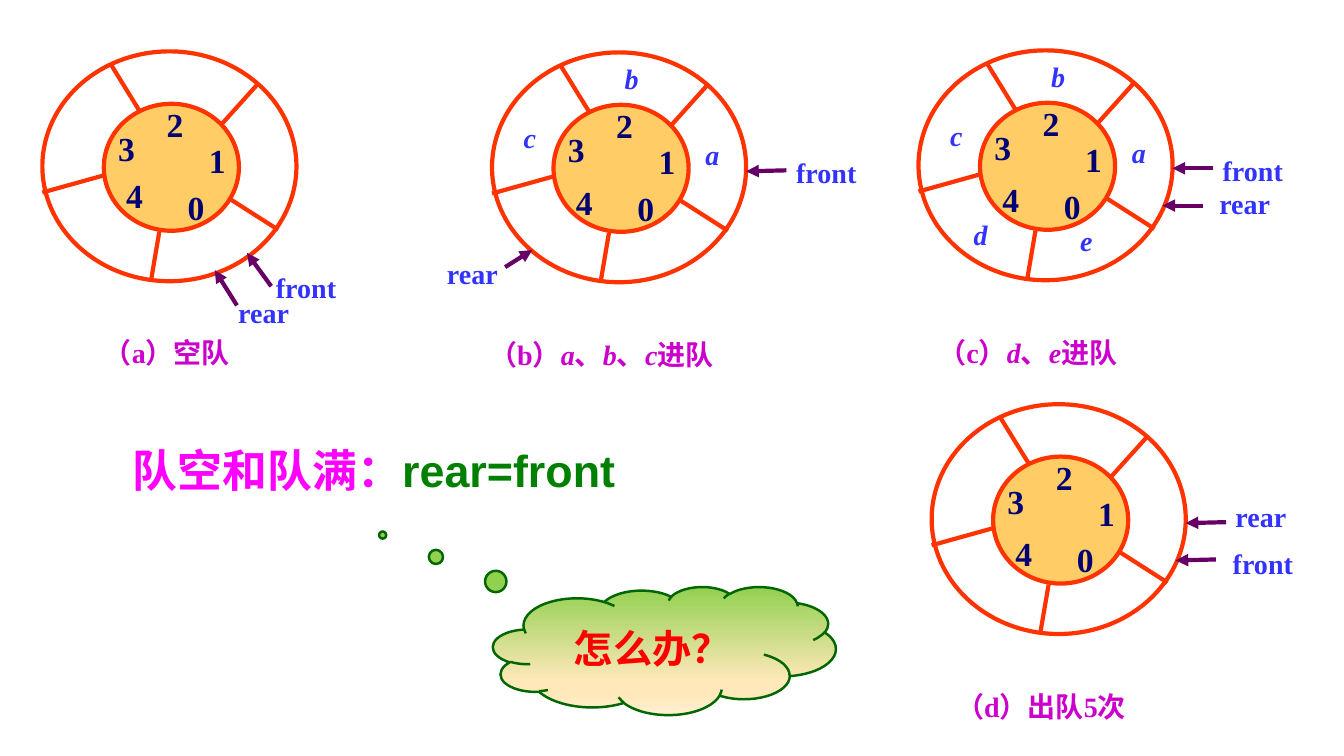
from lxml import etree
from pptx import Presentation
from pptx import util as u
from pptx.dml.color import RGBColor
from pptx.enum import shapes, text
from pptx.oxml import ns

PX = 9144  # 100 px to the inch
SERIF, SANS, CHINESE = "Times New Roman", "Arial", "Noto Sans CJK SC"

RING = RGBColor(0xFF, 0x33, 0x00)
CORE = RGBColor(0xFF, 0xCC, 0x66)
INDEX = RGBColor(0x00, 0x00, 0x74)
LABEL = RGBColor(0x33, 0x33, 0xFF)
POINTER = RGBColor(0x66, 0x00, 0x66)
CAPTION = RGBColor(0xCC, 0x00, 0xCC)
TOPIC = RGBColor(0xFF, 0x00, 0xFF)
CONDITION = RGBColor(0x00, 0x80, 0x00)
CLOUD_EDGE = RGBColor(0x00, 0x66, 0x00)
QUESTION = RGBColor(0xFF, 0x00, 0x00)
CLOUD_STOPS = [(0, RGBColor(0x92, 0xD0, 0x50)), (74, RGBColor(0xFF, 0xE8, 0xBA)),
               (83, RGBColor(0xFF, 0xE8, 0xBA)), (100, RGBColor(0xFF, 0xF0, 0xD1))]

# Offsets from the top left corner of a ring
SPOKES = [(187, 147, 234, 177), (178, 72, 214, 32), (68, 13, 97, 60),
          (116, 179, 108, 226), (0, 140, 61, 123)]
INDEX_SPOTS = [(137, 134), (158, 88), (116, 52), (68, 76), (76, 128)]
ELEMENT_SPOTS = {"a": (203, 84), "b": (123, 9), "c": (22, 68),
                 "d": (46, 166), "e": (151, 172)}


def px(*lengths):
    return [u.Emu(length * PX) for length in lengths]


def add_run(paragraph, words, size, color, font=SERIF, italic=False):
    run = paragraph.add_run()
    run.text = words
    run.font.size = u.Pt(size)
    run.font.bold = True
    run.font.italic = italic
    run.font.name = font
    run.font.color.rgb = color
    east_asian = etree.SubElement(run.font._element, ns.qn("a:ea"))
    east_asian.set("typeface", CHINESE)


def add_text(parent, box, inset=True, align=text.PP_ALIGN.CENTER):
    """Add an empty text box and return its paragraph."""
    frame = parent.add_textbox(*px(*box)).text_frame
    frame.word_wrap = True
    frame.auto_size = text.MSO_AUTO_SIZE.SHAPE_TO_FIT_TEXT
    if not inset:
        frame.margin_left = frame.margin_right = 0
        frame.margin_top = frame.margin_bottom = 0
    frame.paragraphs[0].alignment = align
    return frame.paragraphs[0]


def add_label(parent, words, x, y, width=79, italic=False):
    add_run(add_text(parent, (x, y, width, 33), inset=False),
            words, 20, LABEL, italic=italic)


def add_line(parent, ends, color, arrow=False):
    line = parent.add_connector(shapes.MSO_CONNECTOR.STRAIGHT, *px(*ends))
    line.line.color.rgb = color
    line.line.width = u.Pt(3)
    if arrow:
        tip = etree.SubElement(line.line._get_or_add_ln(), ns.qn("a:tailEnd"))
        tip.set("type", "triangle")
    etree.SubElement(line._element.spPr, ns.qn("a:effectLst"))


def add_ellipse(parent, box, fill=None):
    ellipse = parent.add_shape(shapes.MSO_SHAPE.OVAL, *px(*box))
    ellipse.shadow.inherit = False
    if fill is None:
        ellipse.fill.background()
    else:
        ellipse.fill.solid()
        ellipse.fill.fore_color.rgb = fill
    ellipse.line.color.rgb = RING
    ellipse.line.width = u.Pt(3)


def add_queue(slide, x, y, elements, pointers, caption_box, caption):
    """Draw a circular queue; caption is a list of words, italic if one letter."""
    queue = slide.shapes.add_group_shape().shapes
    add_ellipse(queue, (x + 61, y + 52, 134, 126), CORE)
    add_ellipse(queue, (x, y, 252, 228))
    for x1, y1, x2, y2 in SPOKES:
        add_line(queue, (x + x1, y + y1, x + x2, y + y2), RING)
    for index, (dx, dy) in enumerate(INDEX_SPOTS):
        if index == 4 and not elements and len(caption) == 1 and x < 100:
            dy -= 5
        add_run(add_text(queue, (x + dx, y + dy, 31, 40), inset=False),
                str(index), 24, INDEX)
    for element in elements:
        dx, dy = ELEMENT_SPOTS[element]
        add_label(queue, element, x + dx, y + dy, width=31, italic=True)
    for name, label_x, label_y, arrow in pointers:
        add_line(queue, arrow, POINTER, arrow=True)
        add_label(queue, name, label_x, label_y)
    paragraph = add_text(queue, caption_box)
    for words in caption:
        add_run(paragraph, words, 20, CAPTION, italic=words in ELEMENT_SPOTS)


def add_cloud(slide, box, words):
    cloud = slide.shapes.add_shape(shapes.MSO_SHAPE.CLOUD_CALLOUT, *px(*box))
    cloud.shadow.inherit = False
    cloud.adjustments[0], cloud.adjustments[1] = -0.822, -0.903
    cloud.fill.gradient()
    cloud.fill.gradient_angle = 270
    stops = cloud._element.spPr.find(ns.qn("a:gradFill")).find(ns.qn("a:gsLst"))
    for stop in list(stops):
        stops.remove(stop)
    for percent, color in CLOUD_STOPS:
        stop = etree.SubElement(stops, ns.qn("a:gs"), pos=str(percent * 1000))
        etree.SubElement(stop, ns.qn("a:srgbClr"), val=str(color))
    cloud.line.color.rgb = CLOUD_EDGE
    cloud.line.width = u.Pt(1.75)
    cloud.text_frame.vertical_anchor = text.MSO_ANCHOR.MIDDLE
    paragraph = cloud.text_frame.paragraphs[0]
    paragraph.alignment = text.PP_ALIGN.CENTER
    add_run(paragraph, words, 28, QUESTION, font=CHINESE)


def main():
    deck = Presentation()
    deck.slide_width, deck.slide_height = px(1333, 750)
    slide = deck.slides.add_slide(deck.slide_layouts[6])

    add_queue(slide, 42, 51, "",
              [("front", 264, 268, (269, 284, 245, 251)),
               ("rear", 222, 293, (235, 303, 213, 268))],
              (71, 328, 189, 44), ["（a）空队"])
    add_queue(slide, 488, 52, "abc",
              [("front", 780, 154, (780, 169, 740, 170)),
               ("rear", 429, 254, (501, 265, 528, 248))],
              (423, 330, 347, 44), ["（b）", "a", "、", "b", "、", "c", "进队"])
    add_queue(slide, 911, 50, "abcde",
              [("front", 1203, 152, (1203, 167, 1163, 167)),
               ("rear", 1195, 185, (1193, 204, 1153, 204))],
              (846, 328, 347, 44), ["（c）", "d", "、", "e", "进队"])

    rule = add_text(slide.shapes, (122, 434, 582, 64), align=text.PP_ALIGN.LEFT)
    add_run(rule, "队空和队满：", 32, TOPIC, font=SANS)
    add_run(rule, "rear=front", 32, CONDITION, font=SANS)

    add_queue(slide, 924, 401, "",
              [("front", 1213, 542, (1206, 555, 1166, 556)),
               ("rear", 1211, 496, (1216, 518, 1176, 519))],
              (859, 679, 347, 44), ["（d）出队5次"])
    add_cloud(slide, (489, 582, 340, 127), "怎么办？")
    deck.save("out.pptx")


if __name__ == "__main__":
    main()
